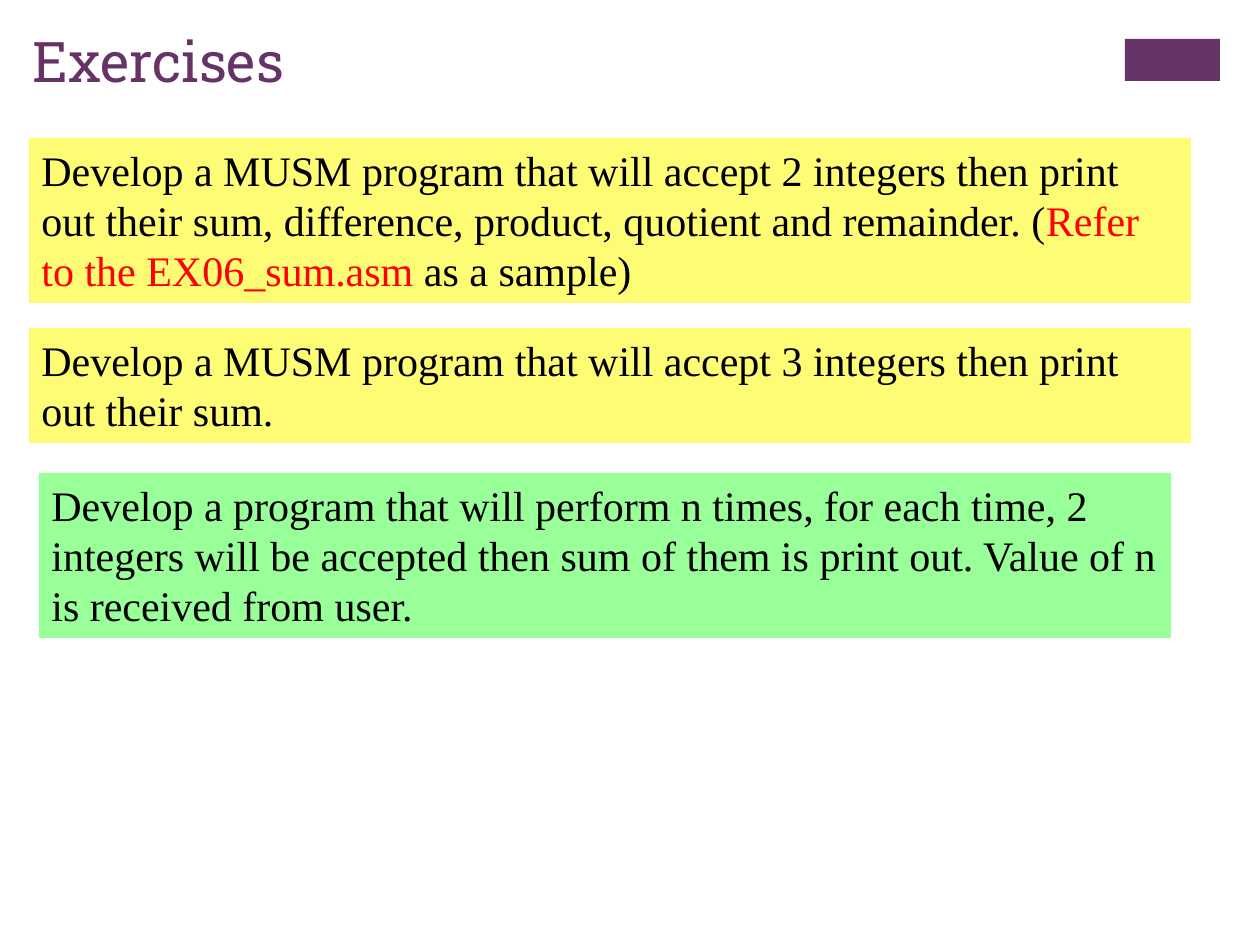
from pptx import Presentation
from pptx.dml.color import RGBColor
from pptx.enum.shapes import MSO_SHAPE as Shape
from pptx.enum.text import MSO_ANCHOR as Anchor, MSO_AUTO_SIZE as AutoSize, PP_ALIGN as Align
from pptx.util import Pt

PX = 914400 // 126
COLORS = {
    "purple": "663366",
    "yellow": "FEFC75",
    "green": "99FF99",
    "black": "000000",
    "red": "FF0000",
}
TITLE_FONT = {"name": "Roboto Slab", "size": Pt(32)}
BODY_FONT = {"name": "Times New Roman", "size": Pt(24)}

# Each exercise: box in px, fill, and (text, colour) pieces
EXERCISES = [
    ((29, 138, 1162, 165), "yellow", [
        ("Develop a MUSM program that will accept 2 integers then print out "
         "their sum, difference, product, quotient and remainder. (", "black"),
        ("Refer to the EX06_sum.asm ", "red"),
        ("as a sample)", "black"),
    ]),
    ((29, 328, 1162, 115), "yellow", [
        ("Develop a MUSM program that will accept 3 integers then print out "
         "their sum.", "black"),
    ]),
    ((39, 473, 1132, 165), "green", [
        ("Develop a program that will perform n times, for each time, 2 "
         "integers will be accepted then sum of them is print out. Value of n "
         "is received from user.", "black"),
    ]),
]


def px(*lengths):
    return [length * PX for length in lengths]


def color(name):
    return RGBColor.from_string(COLORS[name])


def add_block(slide, box, fill):
    block = slide.shapes.add_shape(Shape.RECTANGLE, *px(*box))
    block.shadow.inherit = False
    block.fill.solid()
    block.fill.fore_color.rgb = color(fill)
    block.line.fill.background()
    return block


def write(frame, pieces, font_format):
    frame_format = {
        "word_wrap": True,
        "vertical_anchor": Anchor.TOP,
    }
    for key, value in frame_format.items():
        setattr(frame, key, value)
    paragraph = frame.paragraphs[0]
    paragraph.alignment = Align.LEFT
    for text, color_name in pieces:
        run = paragraph.add_run()
        run.text = text
        for key, value in font_format.items():
            setattr(run.font, key, value)
        run.font.color.rgb = color(color_name)


def add_title(slide, box, text):
    title = slide.shapes.add_textbox(*px(*box))
    write(title.text_frame, [(text, "purple")], TITLE_FONT)


def add_exercise(slide, box, fill, pieces):
    exercise = add_block(slide, box, fill)
    write(exercise.text_frame, pieces, BODY_FONT)
    exercise.text_frame.auto_size = AutoSize.SHAPE_TO_FIT_TEXT


def main():
    deck = Presentation()
    deck.slide_width, deck.slide_height = px(1260, 945)
    slide = deck.slides.add_slide(deck.slide_layouts[6])

    # Header: corner accent and title
    add_block(slide, (1125, 39, 95, 42), "purple")
    add_title(slide, (20, 20, 591, 98), "Exercises")

    # Exercise boxes
    for box, fill, pieces in EXERCISES:
        add_exercise(slide, box, fill, pieces)

    deck.save("out.pptx")


if __name__ == "__main__":
    main()
